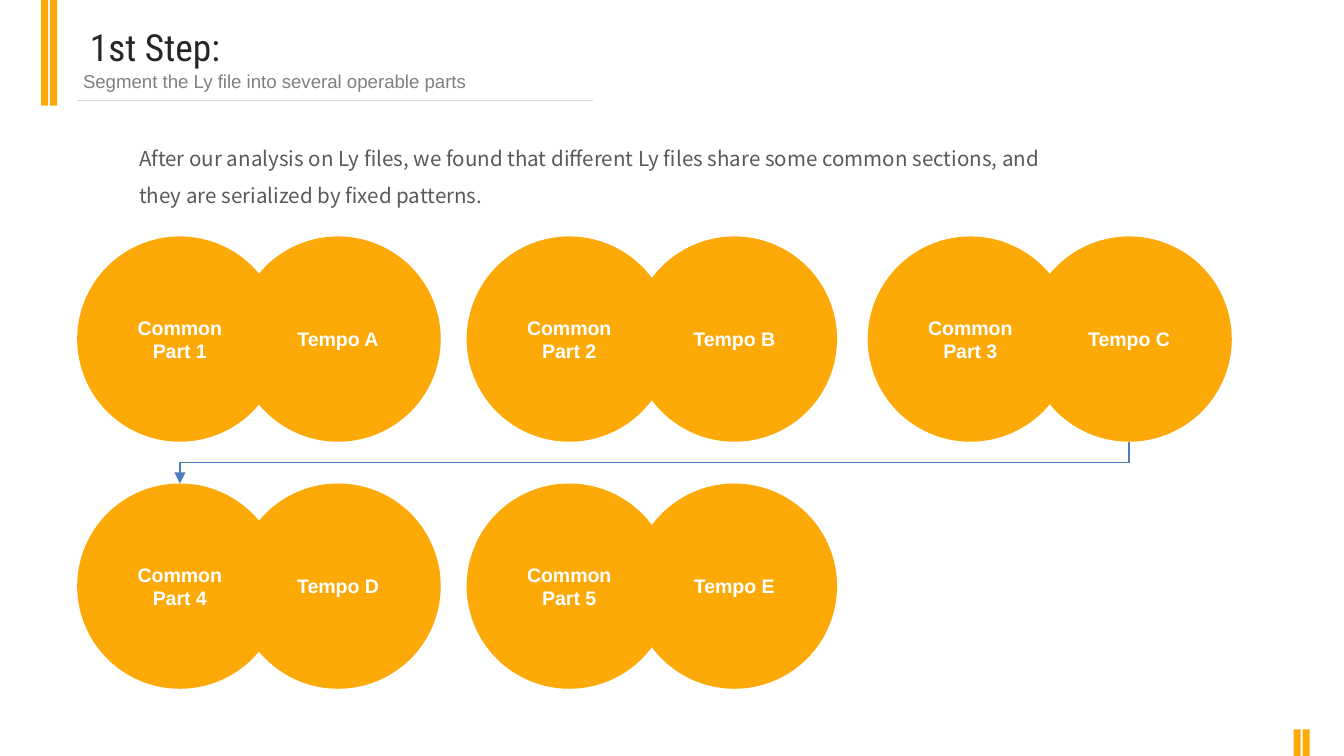
from dataclasses import dataclass

from lxml.etree import SubElement
from pptx import Presentation
from pptx.dml.color import RGBColor
from pptx.enum.shapes import MSO_CONNECTOR, MSO_SHAPE
from pptx.enum.text import MSO_ANCHOR, MSO_AUTO_SIZE, PP_ALIGN
from pptx.oxml.ns import qn
from pptx.util import Cm, Pt


@dataclass(frozen=True)
class Theme:
    gold: str = "FDA907"
    white: str = "FFFFFF"
    ink: str = "262626"
    body: str = "595959"
    muted: str = "808080"
    rule: str = "D9D9D9"
    blue: str = "4B7EBC"
    sans: str = "Arial"
    head: str = "Roboto Condensed"
    text: str = "Noto Sans CJK SC"
    title: float = 20
    lead: float = 11
    label: float = 10.5
    sub: float = 10
    line: float = 0.75


class Page:
    def __init__(self, slide, theme):
        self.slide = slide
        self.theme = theme

    def style(self, frame, face, size, tint, bold=False):
        for para in frame.paragraphs:
            for run in para.runs:
                font = run.font
                font.name, font.size, font.bold = face, Pt(size), bold
                font.color.rgb = RGBColor.from_string(tint)
                ea = SubElement(run._r.get_or_add_rPr(), qn("a:ea"))
                ea.set("typeface", face)

    def solid(self, kind, x, y, w, h):
        shape = self.slide.shapes.add_shape(kind, Cm(x), Cm(y), Cm(w), Cm(h))
        shape.shadow.inherit = False
        shape.fill.solid()
        shape.fill.fore_color.rgb = RGBColor.from_string(self.theme.gold)
        shape.line.fill.background()
        return shape

    def bars(self, x, y, high):
        for step in range(2):
            self.solid(MSO_SHAPE.RECTANGLE, x + step * 0.17, y, 0.13, high)

    def disc(self, text, x, y, size):
        frame = self.solid(MSO_SHAPE.OVAL, x, y, size, size).text_frame
        frame.word_wrap = True
        frame.vertical_anchor = MSO_ANCHOR.MIDDLE
        frame.text = text
        frame.paragraphs[0].alignment = PP_ALIGN.CENTER
        self.style(frame, self.theme.sans, self.theme.label, self.theme.white, True)

    def note(self, text, x, y, w, h, face, size, tint, space=1.0):
        frame = self.slide.shapes.add_textbox(Cm(x), Cm(y), Cm(w), Cm(h)).text_frame
        frame.word_wrap = True
        frame.auto_size = MSO_AUTO_SIZE.SHAPE_TO_FIT_TEXT
        frame.text = text
        frame.paragraphs[0].line_spacing = space
        self.style(frame, face, size, tint)

    def link(self, kind, start, end, tint):
        ends = [Cm(value) for value in (*start, *end)]
        line = self.slide.shapes.add_connector(kind, *ends)
        line.line.width = Pt(self.theme.line)
        line.line.color.rgb = RGBColor.from_string(tint)
        SubElement(line._element.spPr, qn("a:effectLst"))
        return line

    def drop(self, start, end):
        mid_x, mid_y = (start[0] + end[0]) / 2, (start[1] + end[1]) / 2
        half_w, half_h = (end[1] - start[1]) / 2, (start[0] - end[0]) / 2
        line = self.link(
            MSO_CONNECTOR.ELBOW,
            (mid_x - half_w, mid_y - half_h),
            (mid_x + half_w, mid_y + half_h),
            self.theme.blue,
        )
        line._element.spPr.find(qn("a:xfrm")).set("rot", "5400000")
        tail = SubElement(line.line._get_or_add_ln(), qn("a:tailEnd"))
        tail.set("type", "triangle")


def main():
    deck = Presentation()
    deck.slide_width, deck.slide_height = Cm(25.4), Cm(14.29)
    theme = Theme()
    page = Page(deck.slides.add_slide(deck.slide_layouts[6]), theme)

    page.bars(0.78, 0, 2)
    page.bars(24.45, 13.79, 0.5)
    page.link(MSO_CONNECTOR.STRAIGHT, (1.46, 1.9), (11.2, 1.9), theme.rule)
    page.note("1st Step:", 1.45, 0.33, 10.74, 1.12, theme.head, theme.title, theme.ink)
    page.note(
        "Segment the Ly file into several operable parts",
        1.32, 1.19, 10.74, 0.69, theme.sans, theme.sub, theme.muted,
    )
    page.note(
        "After our analysis on Ly files, we found that different Ly files share "
        "some common sections, and they are serialized by fixed patterns.",
        2.38, 2.41, 18.39, 1.57, theme.text, theme.lead, theme.body, 1.5,
    )

    size = 3.88
    cols = [(1.46, 4.45), (8.82, 11.94), (16.4, 19.4)]
    rows = [4.47, 9.14]
    for index, name in enumerate("ABCDE"):
        row, col = divmod(index, len(cols))
        left, right = cols[col]
        page.disc(f"Common Part {index + 1}", left, rows[row], size)
        page.disc(f"Tempo {name}", right, rows[row], size)

    page.drop(
        (cols[-1][1] + size / 2, rows[0] + size),
        (cols[0][0] + size / 2, rows[1]),
    )
    deck.save("out.pptx")


if __name__ == "__main__":
    main()
